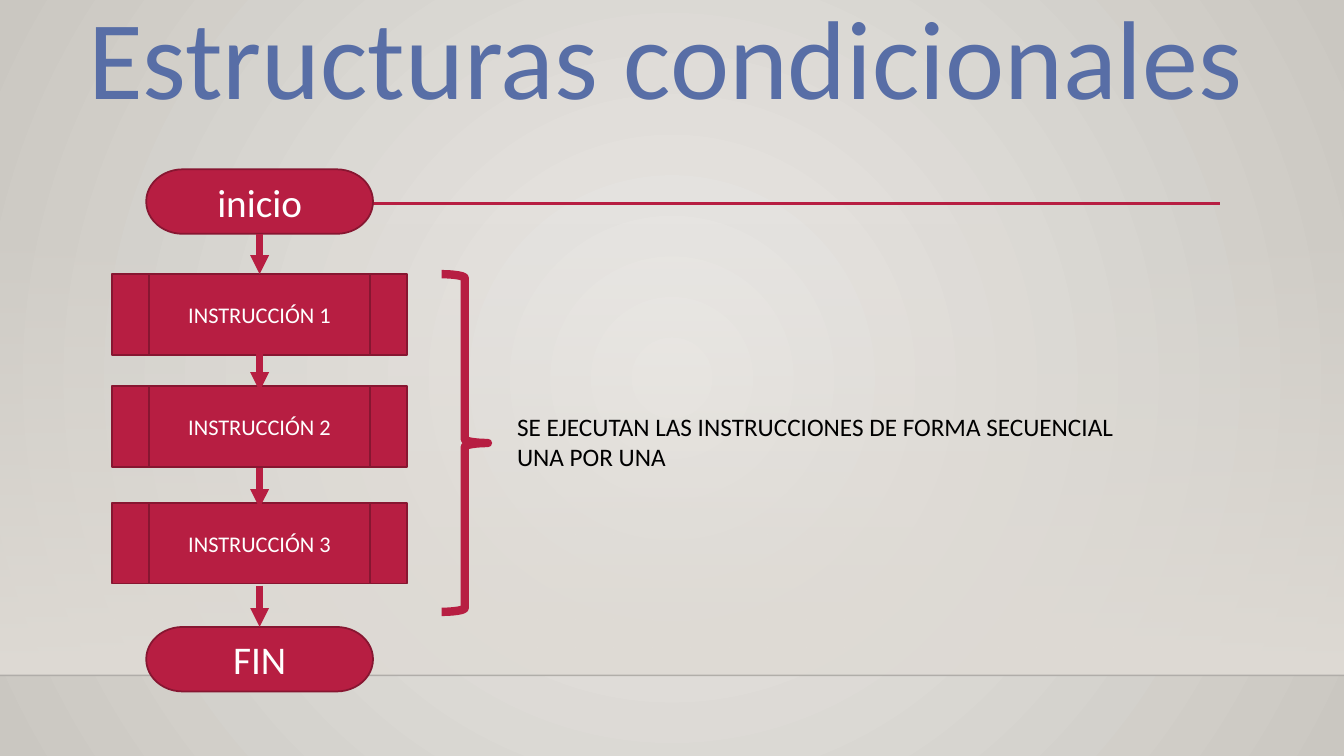
"""Build the slide on sequential flow: title, flowchart, brace and note."""
from lxml import etree
from pptx import Presentation
from pptx.dml.color import RGBColor
from pptx.enum import shapes, text
from pptx.oxml.ns import qn
from pptx.util import Inches, Pt

HUES = {"red": "B71E42", "edge": "871631", "blue": "586EA6", "white": "FFFFFF",
        "black": "000000", "rule": "000001", "floor": "DFDBD5",
        "light": "ECEAE7", "dark": "CAC7C1"}
KIND = shapes.MSO_SHAPE
HUES = {name: RGBColor.from_string(code) for name, code in HUES.items()}


def write(shape, lines, size, hue, align, **frame):
    """Fill a shape with formatted paragraphs."""
    body = shape.text_frame
    for name, value in frame.items():
        setattr(body, name, value)
    body.text = "\n".join(lines)
    for para in body.paragraphs:
        para.alignment = align
        for name, value in {"name": "Calibri", "size": Pt(size), "bold": False}.items():
            setattr(para.font, name, value)
        para.font.color.rgb = HUES[hue]


def link(x1, y1, x2, y2, hue, width):
    """Draw a straight line without a shadow."""
    line = page.shapes.add_connector(shapes.MSO_CONNECTOR.STRAIGHT, Inches(x1),
                                     Inches(y1), Inches(x2), Inches(y2))
    line.line.color.rgb = HUES[hue]
    line.line.width = Pt(width)
    etree.SubElement(line.element.spPr, qn("a:effectLst"))
    return line


deck = Presentation()
deck.slide_width, deck.slide_height = Inches(13.33), Inches(7.5)
page = deck.slides.add_slide(deck.slide_layouts[5])

back = page.background.fill
back.gradient()
for stop, hue in zip(back.gradient_stops, ("light", "dark")):
    stop.color.rgb = HUES[hue]
grad = page.element.find(".//" + qn("a:gradFill"))
grad.remove(grad.find(qn("a:lin")))
glow = etree.SubElement(grad, qn("a:path"), path="circle")
etree.SubElement(glow, qn("a:fillToRect"), dict.fromkeys("ltrb", "50000"))

floor = page.shapes.add_shape(KIND.RECTANGLE, 0, Inches(2.21), deck.slide_width, Inches(4.49))
floor.shadow.inherit = False
floor.line.fill.background()
floor.fill.gradient()
floor.fill.gradient_angle = 270
for stop in floor.fill.gradient_stops:
    stop.color.rgb = HUES["floor"]
clear = floor.element.find(".//" + qn("a:srgbClr"))
etree.SubElement(clear, qn("a:alpha"), val="0")

edge = link(0, 6.7, 13.33, 6.7, "rule", 1)
etree.SubElement(edge.element.find(".//" + qn("a:srgbClr")), qn("a:alpha"), val="20000")
link(1.59, 2.02, 12.1, 2.02, "red", 2.5)

title = page.shapes.title
place = {"left": 0.66, "top": -0.17, "width": 11.89, "height": 1.45}
for name, value in place.items():
    setattr(title, name, Inches(value))
write(title, ["Estructuras condicionales"], 80, "blue", text.PP_ALIGN.CENTER,
      word_wrap=False, auto_size=text.MSO_AUTO_SIZE.SHAPE_TO_FIT_TEXT,
      vertical_anchor=text.MSO_ANCHOR.TOP)

MID = 2.575
ENDS = (KIND.FLOWCHART_TERMINATOR, 2.25, 0.64, 28)
STEP = (KIND.FLOWCHART_PREDEFINED_PROCESS, 2.93, 0.8, 16)
flow = [("inicio", 1.68, ENDS), ("INSTRUCCIÓN 1", 2.72, STEP), ("INSTRUCCIÓN 2", 3.83, STEP),
        ("INSTRUCCIÓN 3", 4.99, STEP), ("FIN", 6.22, ENDS)]
nodes = []
for label, top, (kind, width, height, size) in flow:
    node = page.shapes.add_shape(kind, Inches(MID - width / 2), Inches(top),
                                 Inches(width), Inches(height))
    node.shadow.inherit = False
    node.fill.solid()
    node.fill.fore_color.rgb = HUES["red"]
    node.line.color.rgb = HUES["edge"]
    node.line.width = Pt(1.25)
    write(node, [label], size, "white", text.PP_ALIGN.CENTER,
          vertical_anchor=text.MSO_ANCHOR.MIDDLE)
    nodes.append(node)

arrows = []
for top in (2.32, 3.48, 4.64, 5.81):
    arrow = link(MID, top, MID, top + 0.4, "red", 4.5)
    etree.SubElement(arrow.line._get_or_add_ln(), qn("a:tailEnd"), type="triangle")
    arrows.append(arrow)
arrows[0].begin_connect(nodes[0], 2)
arrows[0].end_connect(nodes[1], 0)
arrows[-1].end_connect(nodes[-1], 0)

brace = page.shapes.add_shape(KIND.RIGHT_BRACE, Inches(4.38), Inches(2.72),
                              Inches(0.46), Inches(3.35))
brace.shadow.inherit = False
brace.fill.background()
brace.line.color.rgb = HUES["red"]
brace.line.width = Pt(6)

note = page.shapes.add_textbox(Inches(5.03), Inches(4.03), Inches(7.04), Inches(0.71))
write(note, ["SE EJECUTAN LAS INSTRUCCIONES DE FORMA SECUENCIAL", "UNA POR UNA"],
      18, "black", text.PP_ALIGN.LEFT, word_wrap=True,
      auto_size=text.MSO_AUTO_SIZE.SHAPE_TO_FIT_TEXT)

deck.save("out.pptx")
